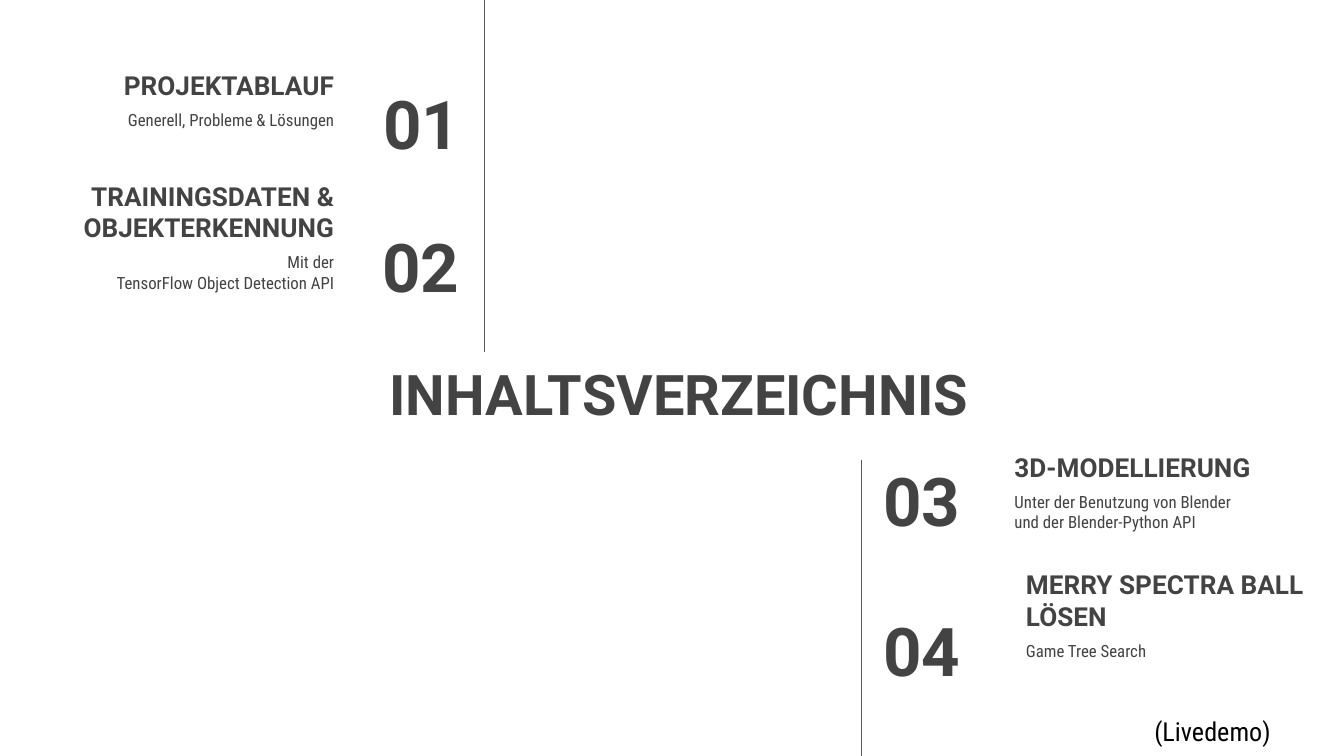
import pptx
import pptx.dml.color
import pptx.enum.shapes
import pptx.enum.text
import pptx.util
from lxml import etree

PX = 4572  # 200 px to the inch
WIDTH, HEIGHT = 2000, 1125
INSET = 20
ROW_HEIGHT = 126
HEADING_WIDTH, DETAIL_WIDTH = 432, 366
DARK, RULE, BLACK = "434343", "595959", "000000"
HEADING_FONT, DETAIL_FONT = "Roboto", "Roboto Condensed"
ALIGN = pptx.enum.text.PP_ALIGN
ANCHOR = pptx.enum.text.MSO_ANCHOR

TITLE = "INHALTSVERZEICHNIS"
DEMO_NOTE = "(Livedemo)"

# number_box: left, top, width
# edge: the side of the text boxes that the text is aligned to
LEFT_CHAPTERS = [
    {"number": "01", "number_box": (463, 120, 242), "edge": 517,
     "heading": "PROJEKTABLAUF", "heading_top": 44, "heading_width": HEADING_WIDTH,
     "details": ["Generell, Probleme & Lösungen"], "details_top": 144},
    {"number": "02", "number_box": (461, 332, 242), "edge": 517,
     "heading": "TRAININGSDATEN & OBJEKTERKENNUNG", "heading_top": 256,
     "heading_width": HEADING_WIDTH,
     "details": ["Mit der", "TensorFlow Object Detection API"], "details_top": 355},
]
RIGHT_CHAPTERS = [
    {"number": "03", "number_box": (1295, 681, 234), "edge": 1490,
     "heading": "3D-MODELLIERUNG", "heading_top": 613, "heading_width": HEADING_WIDTH,
     "details": ["Unter der Benutzung von Blender und der Blender-Python API"],
     "details_top": 712},
    {"number": "04", "number_box": (1295, 904, 234), "edge": 1507,
     "heading": "MERRY SPECTRA BALL LÖSEN", "heading_top": 834, "heading_width": 502,
     "details": ["Game Tree Search"], "details_top": 934},
]
RULES = [(721, 0, 524), (1282, 685, HEIGHT)]  # x, top, bottom


def color(hex_value):
    return pptx.dml.color.RGBColor.from_string(hex_value)


def fill_text(shape, box, lines, size, align, anchor, font=HEADING_FONT, bold=True, ink=DARK):
    shape.left, shape.top, shape.width, shape.height = (n * PX for n in box)
    frame = shape.text_frame
    frame.word_wrap = True
    frame.auto_size = pptx.enum.text.MSO_AUTO_SIZE.NONE
    frame.vertical_anchor = anchor
    frame.margin_left = frame.margin_right = INSET * PX
    frame.margin_top = frame.margin_bottom = INSET * PX
    for index, line in enumerate(lines):
        paragraph = frame.paragraphs[0] if index == 0 else frame.add_paragraph()
        paragraph.alignment = align
        run = paragraph.add_run()
        run.text = line
        run.font.name = font
        run.font.size = pptx.util.Pt(size)
        run.font.bold = bold
        run.font.color.rgb = color(ink)


def add_text(slide, box, *args, **kwargs):
    fill_text(slide.shapes.add_textbox(0, 0, 0, 0), box, *args, **kwargs)


def add_chapter(slide, chapter, align):
    def text_box(top, width):
        left = chapter["edge"] - (width if align == ALIGN.RIGHT else 0)
        return left, top, width, ROW_HEIGHT

    add_text(slide, (*chapter["number_box"], ROW_HEIGHT), [chapter["number"]],
             36, align, ANCHOR.MIDDLE)
    add_text(slide, text_box(chapter["heading_top"], chapter["heading_width"]),
             [chapter["heading"]], 14, align, ANCHOR.BOTTOM)
    add_text(slide, text_box(chapter["details_top"], DETAIL_WIDTH), chapter["details"],
             9, align, ANCHOR.TOP, font=DETAIL_FONT, bold=False)


def add_rule(slide, x, top, bottom):
    rule = slide.shapes.add_connector(
        pptx.enum.shapes.MSO_CONNECTOR.STRAIGHT, x * PX, top * PX, x * PX, bottom * PX)
    rule.line.color.rgb = color(RULE)
    rule.line.width = pptx.util.Pt(0.75)
    etree.SubElement(rule._element.spPr, pptx.oxml.ns.qn("a:effectLst"))


def main():
    deck = pptx.Presentation()
    deck.slide_width, deck.slide_height = WIDTH * PX, HEIGHT * PX
    slide = deck.slides.add_slide(deck.slide_layouts.get_by_name("Title Only"))
    fill_text(slide.shapes.title, (533, 482, 956, 206), [TITLE],
              30, ALIGN.CENTER, ANCHOR.MIDDLE)
    for chapters, align in ((LEFT_CHAPTERS, ALIGN.RIGHT), (RIGHT_CHAPTERS, ALIGN.LEFT)):
        for chapter in chapters:
            add_chapter(slide, chapter, align)
    for rule in RULES:
        add_rule(slide, *rule)
    add_text(slide, (1698, 1045, 264, 42), [DEMO_NOTE], 14, ALIGN.LEFT, ANCHOR.TOP,
             font=DETAIL_FONT, bold=False, ink=BLACK)
    deck.save("out.pptx")


if __name__ == "__main__":
    main()
